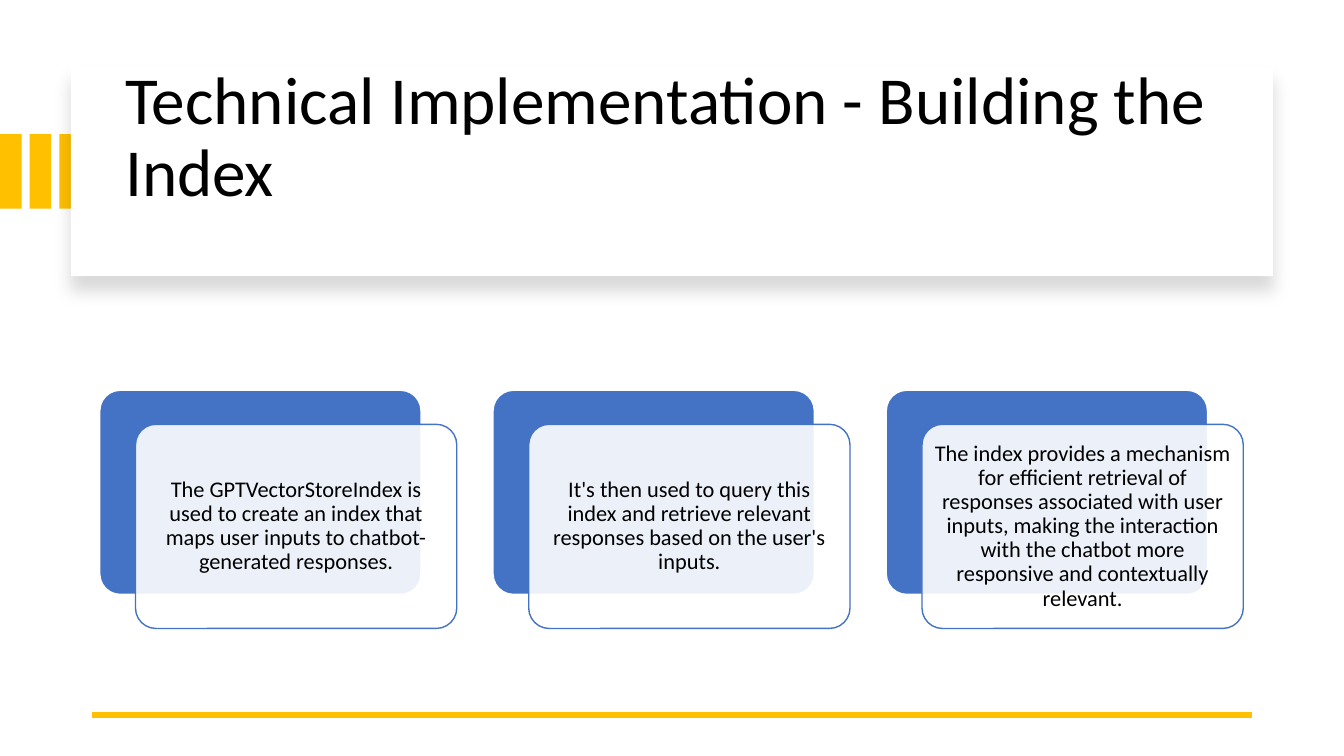
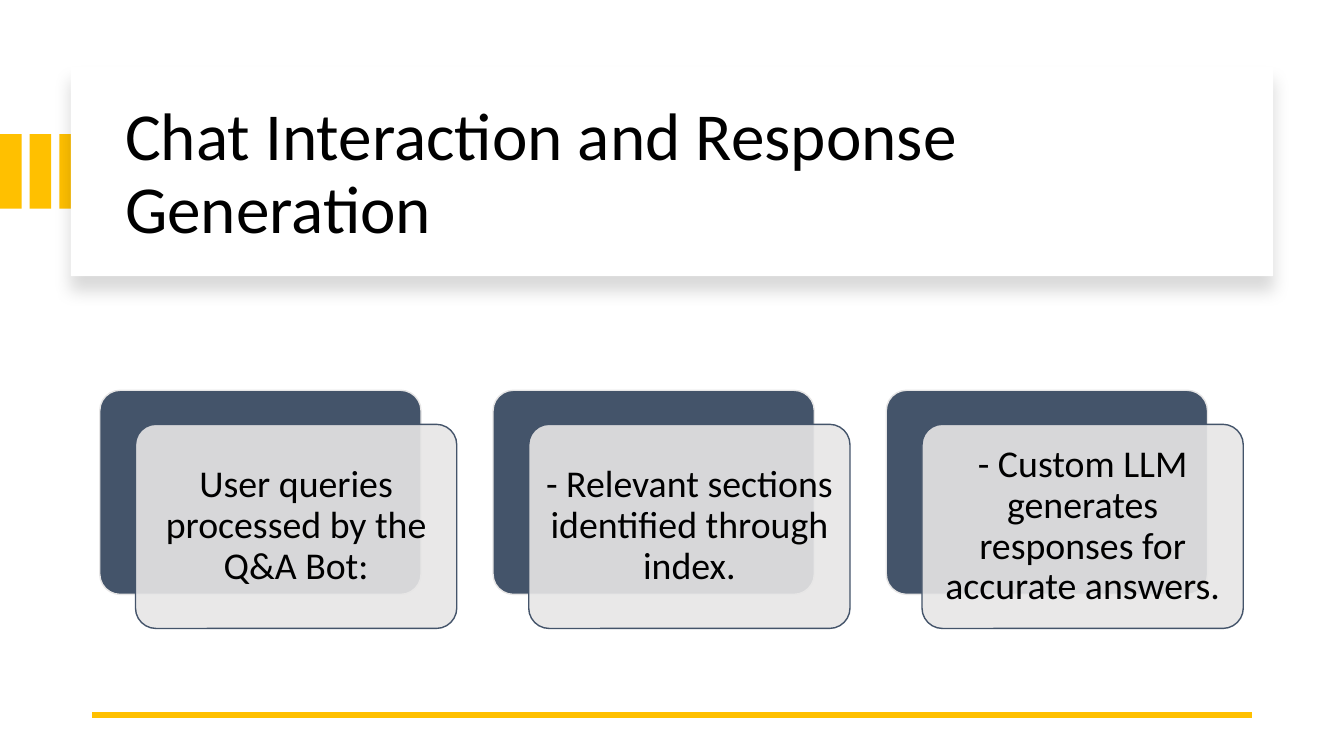
import pptx
import pptx.dml.color
import pptx.enum.shapes
import pptx.enum.text
import pptx.oxml
import pptx.oxml.ns
import pptx.util

Pt = pptx.util.Pt
SHAPE = pptx.enum.shapes.MSO_SHAPE
ALIGN = pptx.enum.text.PP_ALIGN
qn = pptx.oxml.ns.qn

COLORS = {
    "accent": "FFC000",
    "white": "FFFFFF",
    "black": "000000",
    "blue": "4472C4",
    "slate": "44546A",
    "grey": "E7E6E6",
}
FONT = "Calibri"
TITLE_SIZE = 48
TITLE_LINE = 52
TITLE_INSET = 3.6
CARD_LEFT, CARD_TOP, CARD_PITCH = 71.3, 278.8, 280.9
CARD_WIDTH, CARD_HEIGHT = 229.5, 145.8
FRONT_DX, FRONT_DY = 25.5, 24.3

PAGES = [
    {
        "title": "Technical Implementation - Building the Index",
        "lines_below": 1,
        "dark": "blue",
        "light": "white",
        "size": 16,
        "cards": [
            "The GPTVectorStoreIndex is used to create an index that maps user "
            "inputs to chatbot-generated responses.",
            "It's then used to query this index and retrieve relevant responses "
            "based on the user's inputs.",
            "The index provides a mechanism for efficient retrieval of responses "
            "associated with user inputs, making the interaction with the chatbot "
            "more responsive and contextually relevant.",
        ],
    },
    {
        "title": "Chat Interaction and Response Generation",
        "lines_below": 0,
        "dark": "slate",
        "light": "grey",
        "size": 27,
        "cards": [
            "User queries processed by the Q&A Bot:",
            "- Relevant sections identified through index.",
            "- Custom LLM generates responses for accurate answers.",
        ],
    },
]


def rgb(name):
    return pptx.dml.color.RGBColor.from_string(COLORS[name])


def add_box(shapes, kind, left, top, width, height, fill, line=None):
    box = shapes.add_shape(kind, Pt(left), Pt(top), Pt(width), Pt(height))
    box.shadow.inherit = False
    box.fill.solid()
    box.fill.fore_color.rgb = rgb(fill)
    if line:
        box.line.color.rgb = rgb(line)
        box.line.width = Pt(1)
    else:
        box.line.fill.background()
    return box


def add_card_box(shapes, left, top, fill, line):
    box = add_box(shapes, SHAPE.ROUNDED_RECTANGLE, left, top,
                  CARD_WIDTH, CARD_HEIGHT, fill, line)
    box.adjustments[0] = 0.1
    return box


def set_opacity(box, percent):
    color = box.element.spPr.find(qn("a:solidFill")).find(qn("a:srgbClr"))
    alpha = color.makeelement(qn("a:alpha"), {"val": str(percent * 1000)})
    color.append(alpha)


def add_shadow(box):
    effects = box.element.spPr.find(qn("a:effectLst"))
    effects.append(pptx.oxml.parse_xml(
        f'<a:outerShdw {pptx.oxml.ns.nsdecls("a")} blurRad="{Pt(11)}" '
        f'dist="{Pt(10)}" dir="5400000" algn="t" rotWithShape="0">'
        f'<a:srgbClr val="{COLORS["black"]}"><a:alpha val="15000"/></a:srgbClr>'
        '</a:outerShdw>'))


def write_text(frame, text, size, align):
    frame.word_wrap = True
    frame.auto_size = pptx.enum.text.MSO_AUTO_SIZE.NONE
    frame.vertical_anchor = pptx.enum.text.MSO_ANCHOR.MIDDLE
    para = frame.paragraphs[0]
    para.alignment = align
    para.line_spacing = 0.9
    span = para.add_run()
    span.text = text
    span.font.name = FONT
    span.font.size = Pt(size)
    span.font.color.rgb = rgb("black")


def add_header(page, text, lines_below):
    stripes = page.shapes.add_group_shape().shapes
    for index in range(3):
        add_box(stripes, SHAPE.RECTANGLE, 21.2 * index, 95.8, 15.4, 53.2, "accent")
    panel = add_box(page.shapes, SHAPE.RECTANGLE, 50.6, 48, 858.8, 149.2, "white")
    add_shadow(panel)

    title = page.shapes.title
    panel.element.addnext(title.element)
    title.left, title.top = Pt(82.2), Pt(64)
    title.width, title.height = Pt(801.4), Pt(122.4)
    title.text_frame.margin_bottom = Pt(TITLE_INSET + lines_below * TITLE_LINE)
    write_text(title.text_frame, text, TITLE_SIZE, ALIGN.LEFT)


def add_footer_rule(page):
    rule = page.shapes.add_connector(
        pptx.enum.shapes.MSO_CONNECTOR.STRAIGHT,
        Pt(894.2), Pt(510.6), Pt(66), Pt(510.6))
    rule.line.color.rgb = rgb("accent")
    rule.line.width = Pt(4.5)
    properties = rule.element.spPr
    properties.append(properties.makeelement(qn("a:effectLst"), {}))


def add_cards(page, texts, size, dark, light):
    cards = page.shapes.add_group_shape().shapes
    for index, text in enumerate(texts):
        left = CARD_LEFT + CARD_PITCH * index
        add_card_box(cards, left, CARD_TOP, dark, light)
        front = add_card_box(cards, left + FRONT_DX, CARD_TOP + FRONT_DY, light, dark)
        set_opacity(front, 90)
        frame = front.text_frame
        frame.margin_left = frame.margin_right = Pt(size * 0.3)
        frame.margin_top = frame.margin_bottom = Pt(size * 0.3)
        write_text(frame, text, size, ALIGN.CENTER)


def main():
    deck = pptx.Presentation()
    deck.slide_width, deck.slide_height = Pt(960), Pt(540)
    for content in PAGES:
        page = deck.slides.add_slide(deck.slide_layouts.get_by_name("Title Only"))
        add_header(page, content["title"], content["lines_below"])
        add_footer_rule(page)
        add_cards(page, content["cards"], content["size"],
                  content["dark"], content["light"])
    deck.save("out.pptx")


if __name__ == "__main__":
    main()
